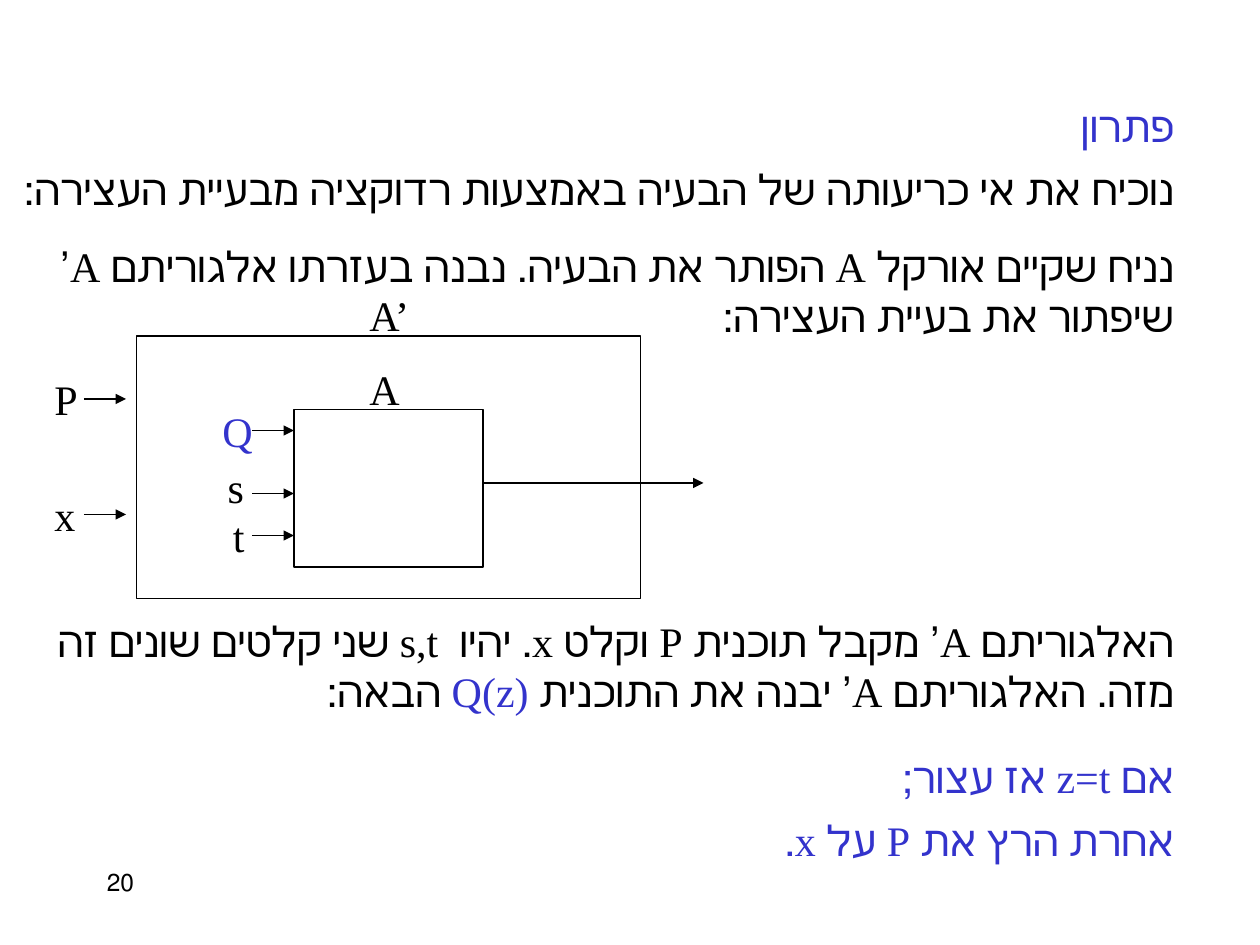
"""Build the halting-problem reduction slide."""
import pptx
import pptx.util
from pptx.dml.color import RGBColor
from pptx.enum.shapes import MSO_CONNECTOR, MSO_SHAPE
from pptx.enum.text import MSO_AUTO_SIZE, PP_ALIGN
from pptx.oxml.ns import qn
from lxml import etree

BLACK = RGBColor(0x00, 0x00, 0x00)
BLUE = RGBColor(0x33, 0x33, 0xCC)
PX = 9525
LABEL_HEIGHT = 48


def px(*lengths):
    """Turn whole pixels into EMU."""
    return [pptx.util.Emu(length * PX) for length in lengths]


def apply_format(target, values):
    """Set each named attribute on the target."""
    for name, value in values.items():
        setattr(target, name, value)


def add_text(shapes, place, paragraphs, color=BLACK, size=24, rtl=False,
             align=PP_ALIGN.LEFT, grow=True):
    """Add a text box; each paragraph is a list of (text, color) spans."""
    box = shapes.add_textbox(*px(*place))
    frame = box.text_frame
    frame.word_wrap = True
    if grow:
        frame.auto_size = MSO_AUTO_SIZE.SHAPE_TO_FIT_TEXT
    for index, spans in enumerate(paragraphs):
        para = frame.add_paragraph() if index else frame.paragraphs[0]
        para.alignment = align
        if rtl:
            para._p.get_or_add_pPr().set("rtl", "1")
        if index:
            para.space_before = pptx.util.Pt(15)
        for text, span_color in spans:
            span = para.add_run()
            span.text = text
            apply_format(span.font, {"name": "Times New Roman", "size": pptx.util.Pt(size)})
            span.font.color.rgb = span_color or color


def add_hebrew(page, place, paragraphs, color=BLACK):
    """Add right-to-left body text."""
    add_text(page.shapes, place, paragraphs, color, rtl=True, align=PP_ALIGN.RIGHT)


def add_label(shapes, left, top, width, text, color=BLACK):
    """Add a one-line diagram label."""
    add_text(shapes, (left, top, width, LABEL_HEIGHT), [[(text, color)]])


def style_line(line):
    """Give an outline its thin black stroke."""
    line.color.rgb = BLACK
    line.width = pptx.util.Pt(0.75)


def add_frame(shapes, *place):
    """Add an unfilled rectangle."""
    frame = shapes.add_shape(MSO_SHAPE.RECTANGLE, *px(*place))
    frame.shadow.inherit = False
    frame.fill.background()
    style_line(frame.line)


def add_arrow(shapes, start, end, y):
    """Add a horizontal arrow pointing right."""
    arrow = shapes.add_connector(MSO_CONNECTOR.STRAIGHT, *px(start, y, end, y))
    style_line(arrow.line)
    etree.SubElement(arrow.line._get_or_add_ln(), qn("a:tailEnd"), type="triangle")
    etree.SubElement(arrow._element.spPr, qn("a:effectLst"))


def add_outer_algorithm(page):
    """Draw A’ with its inputs P and x."""
    shapes = page.shapes.add_group_shape().shapes
    add_label(shapes, 272, 216, 64, "A’")
    add_frame(shapes, 104, 256, 384, 200)
    for text, top, arrow_y in (("P", 280, 304), ("x", 368, 392)):
        add_label(shapes, 32, top, 64, text)
        add_arrow(shapes, 64, 96, arrow_y)


def add_oracle(page):
    """Draw the oracle A with its inputs Q, s, t and its output."""
    shapes = page.shapes.add_group_shape().shapes
    add_label(shapes, 272, 272, 64, "A")
    add_frame(shapes, 224, 312, 144, 120)
    inputs = (
        ("Q", 160, 304, 64, BLUE, 328),
        ("s", 164, 347, 32, BLACK, 376),
        ("t", 168, 384, 32, BLACK, 408),
    )
    for text, left, top, width, color, arrow_y in inputs:
        add_label(shapes, left, top, width, text, color)
        add_arrow(shapes, 192, 224, arrow_y)
    add_arrow(shapes, 368, 536, 368)


def main():
    """Build and save the deck."""
    deck = pptx.Presentation()
    apply_format(deck, dict(zip(("slide_width", "slide_height"), px(960, 720))))
    page = deck.slides.add_slide(deck.slide_layouts[6])
    add_hebrew(page, (216, 72, 688, 48), [[("פתרון", BLUE)]])
    add_hebrew(page, (0, 120, 904, 183), [
        [("נוכיח את אי כריעותה של הבעיה באמצעות רדוקציה מבעיית העצירה:", BLACK)],
        [("נניח שקיים אורקל A הפותר את הבעיה. נבנה בעזרתו אלגוריתם A’ "
          "שיפתור את בעיית העצירה:", BLACK)],
    ])
    add_outer_algorithm(page)
    add_hebrew(page, (0, 464, 904, 86), [[
        ("האלגוריתם A’ מקבל תוכנית P וקלט x. יהיו  s,t שני קלטים שונים זה מזה. "
         "האלגוריתם A’ יבנה את התוכנית ", BLACK),
        ("Q(z)", BLUE),
        (" הבאה:", BLACK),
    ]])
    for top, text in ((568, "אם z=t אז עצור;"), (616, "אחרת הרץ את P על x.")):
        add_hebrew(page, (0, top, 904, 48), [[(text, BLUE)]])
    add_oracle(page)
    add_text(page.shapes, (72, 656, 200, 48), [[("20", BLACK)]], size=14, rtl=True, grow=False)
    deck.save("out.pptx")


if __name__ == "__main__":
    main()
